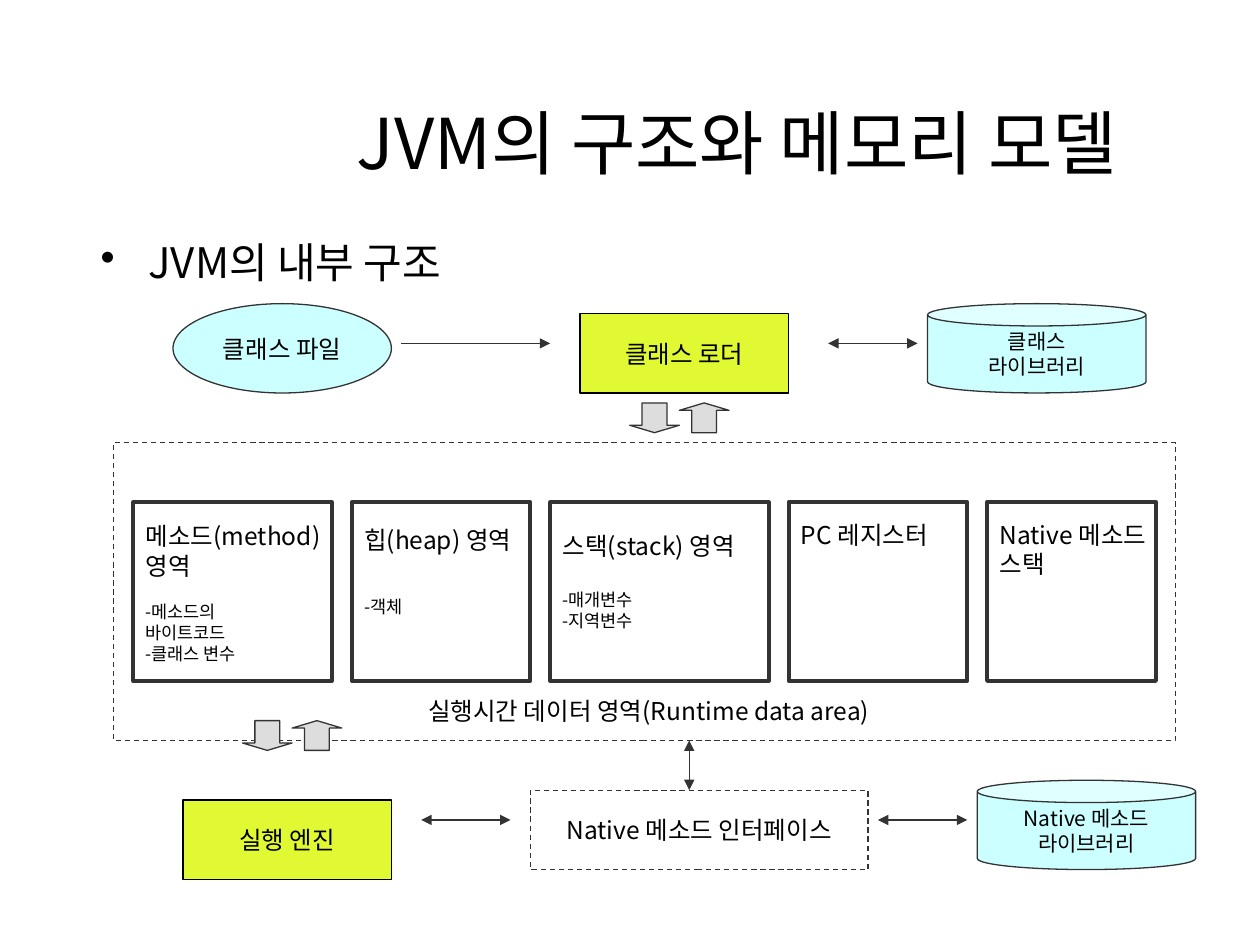
from dataclasses import dataclass

from lxml import etree
from pptx import Presentation
from pptx.dml.color import RGBColor
from pptx.enum.dml import MSO_LINE
from pptx.enum.shapes import MSO_CONNECTOR, MSO_SHAPE
from pptx.enum.text import MSO_ANCHOR, PP_ALIGN
from pptx.oxml.ns import qn
from pptx.util import Inches, Pt

RECT, OVAL, CAN = MSO_SHAPE.RECTANGLE, MSO_SHAPE.OVAL, MSO_SHAPE.CAN
DOWN, UP = MSO_SHAPE.DOWN_ARROW, MSO_SHAPE.UP_ARROW
STRAIGHT, DASH = MSO_CONNECTOR.STRAIGHT, MSO_LINE.DASH
LEFT, CENTER = PP_ALIGN.LEFT, PP_ALIGN.CENTER
TOP, MIDDLE = MSO_ANCHOR.TOP, MSO_ANCHOR.MIDDLE
WIDE, HIGH = 10, 7.5
UNIT, X0, Y0 = 0.0788, 0.9, 2.41


@dataclass(frozen=True)
class Theme:
    """Hold the colours, font and type sizes."""
    font: str = "Noto Sans CJK KR"
    ink: str = "000000"
    edge: str = "333333"
    lime: str = "E1F933"
    aqua: str = "CCFFFF"
    gray: str = "DDDDDD"
    title: int = 40
    head: int = 24
    label: int = 14
    small: int = 12
    note: int = 10
    thin: float = 0.75
    thick: float = 2.25


THEME = Theme()


def grid(col, row):
    """Turn a grid point into slide lengths."""
    return Inches(X0 + col * UNIT), Inches(Y0 + row * UNIT)


def span(count):
    """Turn a count of grid cells into a length."""
    return Inches(count * UNIT)


def write(frame, lines, size, align=CENTER):
    """Write lines of one size into a text frame."""
    for i, line in enumerate(lines):
        para = frame.paragraphs[0] if i == 0 else frame.add_paragraph()
        para.text = line
        style(para, size, align)


def style(para, size, align):
    """Set the font and alignment of a paragraph."""
    para.alignment = align
    para.font.name = THEME.font
    para.font.size = Pt(size)
    para.font.color.rgb = RGBColor.from_string(THEME.ink)


def shape(slide, kind, box, fill=None, line=THEME.edge, width=THEME.thin, dash=None):
    """Draw a preset shape on the grid."""
    col, row, wide, high = box
    item = slide.shapes.add_shape(kind, *grid(col, row), span(wide), span(high))
    item.shadow.inherit = False
    if fill:
        item.fill.solid()
        item.fill.fore_color.rgb = RGBColor.from_string(fill)
    else:
        item.fill.background()
    item.line.color.rgb = RGBColor.from_string(line)
    item.line.width = Pt(width)
    if dash:
        item.line.dash_style = dash
    return item


def node(slide, kind, box, lines, size=THEME.label, **look):
    """Draw a shape with centred text."""
    frame = shape(slide, kind, box, **look).text_frame
    frame.word_wrap = False
    frame.vertical_anchor = MIDDLE
    write(frame, lines, size)


def area(slide, col, wide, pad, heads, gap, notes):
    """Draw one memory area with its heading and notes."""
    frame = shape(slide, RECT, (col, 20, wide, 18), width=THEME.thick).text_frame
    frame.word_wrap = True
    frame.vertical_anchor = TOP
    frame.margin_top, frame.margin_right = Inches(pad), 0
    write(frame, heads, THEME.label, LEFT)
    for i, note in enumerate(notes):
        para = frame.add_paragraph()
        para.text = note
        style(para, THEME.note, LEFT)
        if i == 0:
            para.space_before = Pt(gap)


def pair(slide, col, row):
    """Draw a down arrow beside an up arrow."""
    for i, kind in enumerate((DOWN, UP)):
        item = shape(slide, kind, (col + 5 * i, row, 5, 3), THEME.gray)
        item.adjustments[0], item.adjustments[1] = 0.5, 0.25


def arrow(slide, start, end, both=True):
    """Draw a line with one or two arrowheads."""
    item = slide.shapes.add_connector(STRAIGHT, *grid(*start), *grid(*end))
    item.line.color.rgb = RGBColor.from_string(THEME.edge)
    item.line.width = Pt(THEME.thin)
    line = item.line._get_or_add_ln()
    for tag in ("a:headEnd", "a:tailEnd") if both else ("a:tailEnd",):
        etree.SubElement(line, qn(tag)).set("type", "triangle")
    etree.SubElement(item._element.spPr, qn("a:effectLst"))


def text(slide, box, line, size, align, anchor=TOP, wrap=True):
    """Add a text box placed by shares of the slide."""
    x, y, wide, high = box
    item = slide.shapes.add_textbox(Inches(x * WIDE), Inches(y * HIGH),
                                    Inches(wide * WIDE), Inches(high * HIGH))
    frame = item.text_frame
    frame.word_wrap = wrap
    frame.vertical_anchor = anchor
    write(frame, [line], size, align)
    return frame.paragraphs[0]


def bullet(para):
    """Give a paragraph a hanging bullet."""
    para.line_spacing = 0.9
    para.space_before = Pt(6)
    props = para._p.get_or_add_pPr()
    props.set("marL", str(Inches(0.38)))
    props.set("indent", str(-Inches(0.38)))
    mark = etree.Element(qn("a:buChar"), char="•")
    props.find(qn("a:defRPr")).addprevious(mark)


def main():
    """Build the slide and save it."""
    deck = Presentation()
    deck.slide_width, deck.slide_height = Inches(WIDE), Inches(HIGH)
    slide = deck.slides.add_slide(deck.slide_layouts[6])
    text(slide, (0.18, 0.07, 0.81, 0.16), "JVM의 구조와 메모리 모델",
         THEME.title, CENTER, MIDDLE)
    bullet(text(slide, (0.07, 0.25, 0.85, 0.06), "JVM의 내부 구조", THEME.head, LEFT))

    col = 2
    for wide, pad, heads, gap, notes in (
        (20, 0.15, ["메소드(method)", "영역"], 12, ["-메소드의", "바이트코드", "-클래스 변수"]),
        (18, 0.18, ["힙(heap) 영역"], 24, ["-객체"]),
        (22, 0.23, ["스택(stack) 영역"], 16, ["-매개변수", "-지역변수"]),
        (18, 0.14, ["PC 레지스터"], 0, []),
        (17, 0.14, ["Native 메소드", "스택"], 0, []),
    ):
        area(slide, col, wide, pad, heads, gap, notes)
        col += wide + 2

    for col, row, name in ((47, 1, "클래스 로더"), (7, 50, "실행 엔진")):
        node(slide, RECT, (col, row, 21, 8), [name], fill=THEME.lime, line=THEME.ink)
    node(slide, RECT, (42, 49, 34, 8), ["Native 메소드 인터페이스"], dash=DASH)
    shape(slide, RECT, (0, 14, 107, 30), dash=DASH)
    text(slide, (0.33, 0.73, 0.39, 0.05), "실행시간 데이터 영역(Runtime data area)",
         THEME.label, LEFT, wrap=False)
    node(slide, OVAL, (6, 0, 22, 9), ["클래스 파일"], fill=THEME.aqua)
    for col, row, name in ((82, 0, "클래스"), (87, 48, "Native 메소드")):
        node(slide, CAN, (col, row, 22, 9), [name, "라이브러리"], THEME.small, fill=THEME.aqua)

    pair(slide, 52, 10)
    pair(slide, 13, 42)
    arrow(slide, (29, 4), (44, 4), both=False)
    for start, end in (((72, 4), (81, 4)), ((31, 52), (40, 52)),
                       ((77, 52), (86, 52)), ((58, 44), (58, 49))):
        arrow(slide, start, end)
    deck.save("out.pptx")


if __name__ == "__main__":
    main()
